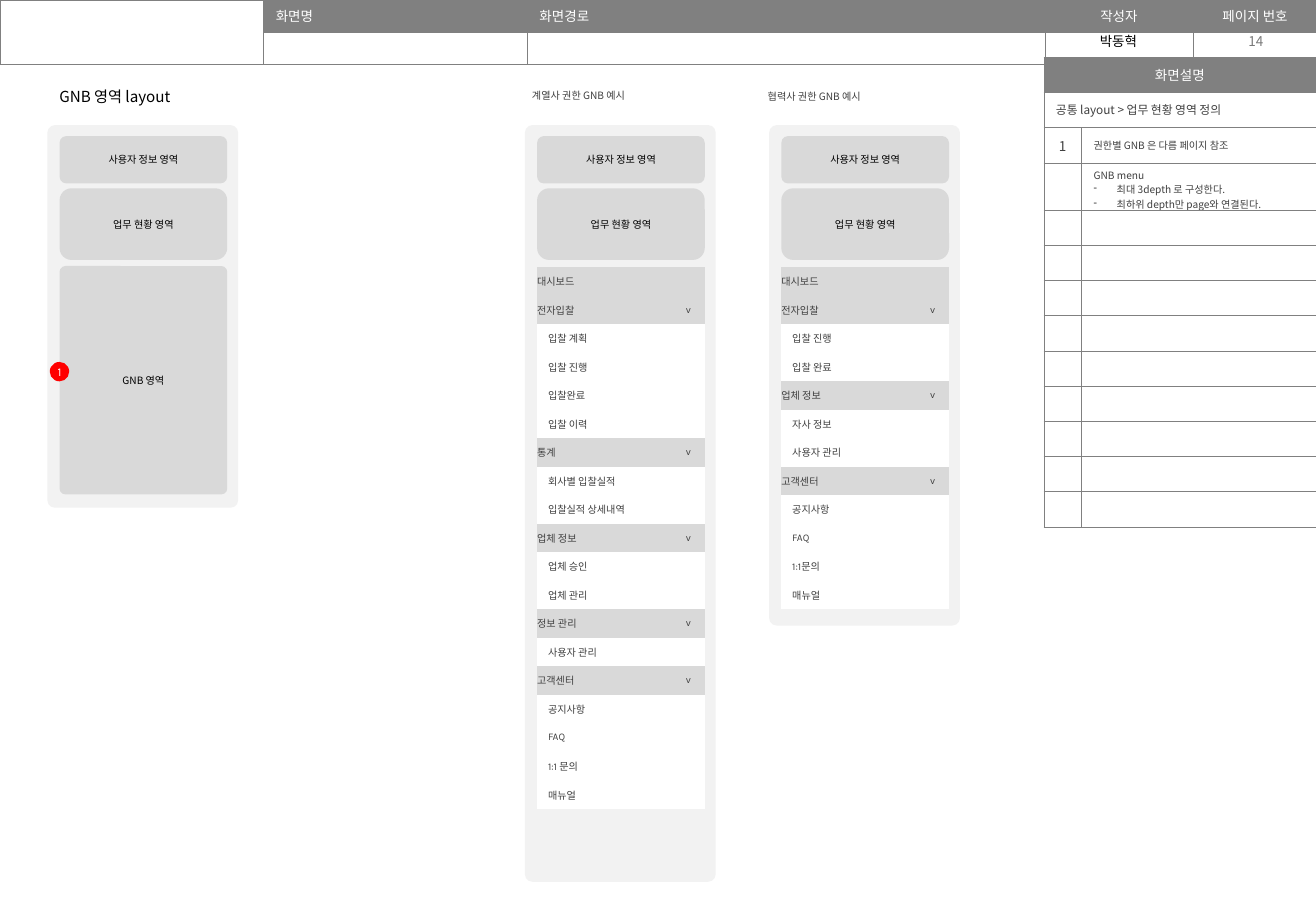
from lxml import etree
from pptx import Presentation, util as u
from pptx.dml.color import RGBColor
from pptx.enum import shapes, text
from pptx.oxml import ns

WHITE = RGBColor(0xFF, 0xFF, 0xFF)
BLACK = RGBColor(0, 0, 0)
DARK = RGBColor(0x40, 0x40, 0x40)
MID = RGBColor(0x79, 0x79, 0x79)
GRAY = RGBColor(0x80, 0x80, 0x80)
LIGHT = RGBColor(0xD9, 0xD9, 0xD9)
PALE = RGBColor(0xF2, 0xF2, 0xF2)
RED = RGBColor(0xFF, 0, 0)
NOTO, KARLA = "Noto Sans CJK KR", "Karla"
LEFT, MIDDLE = text.PP_ALIGN.LEFT, text.PP_ALIGN.CENTER
UNIT = u.Inches(0.01)

deck = Presentation()
deck.slide_width, deck.slide_height = 1083 * UNIT, 750 * UNIT
slide = deck.slides.add_slide(deck.slide_layouts[6])


def write(frame, words, size, color, align=LEFT, face=NOTO):
    frame.text = words
    for para in frame.paragraphs:
        para.alignment = align
        if not para.runs:
            para._p.get_or_add_endParaRPr().set("sz", str(size * 100))
        for run in para.runs:
            run.font.size = u.Pt(size)
            run.font.color.rgb = color
            run.font.name = face
            etree.SubElement(run.font._element, ns.qn("a:ea"), typeface=NOTO)


def build(left, top, cols, rows, line):
    frame = slide.shapes.add_table(len(rows), len(cols), left * UNIT, top * UNIT,
                                   sum(cols) * UNIT, int(sum(rows) * UNIT))
    table = frame.table
    table.first_row = table.horz_banding = False
    for col, width in zip(table.columns, cols):
        col.width = width * UNIT
    for row, height in zip(table.rows, rows):
        row.height = int(height * UNIT)
    for cell in table.iter_cells():
        props = cell._tc.get_or_add_tcPr()
        for side in ("lnL", "lnR", "lnT", "lnB"):
            edge = etree.SubElement(props, ns.qn("a:" + side), w="3175")
            if line:
                paint = etree.SubElement(edge, ns.qn("a:solidFill"))
                etree.SubElement(paint, ns.qn("a:srgbClr"), val=str(line))
            else:
                etree.SubElement(edge, ns.qn("a:noFill"))
        cell.fill.background()
        write(cell.text_frame, "", 6, DARK)
    return table


head = build(0, 0, [217, 217, 426, 122, 102], [26.5, 26.5], GRAY)
head.cell(0, 0).merge(head.cell(1, 0))
titles = ["화면명", "화면경로", "작성자", "페이지 번호"]
for num, title in enumerate(titles, 1):
    cell = head.cell(0, num)
    cell.fill.solid()
    cell.fill.fore_color.rgb = GRAY
    write(cell.text_frame, title, 8, WHITE, MIDDLE if num > 2 else LEFT)

for left, width, words, color in [(859, 123, "박동혁", BLACK), (983, 101, "14", MID)]:
    box = slide.shapes.add_textbox(left * UNIT, 22 * UNIT, width * UNIT, 24 * UNIT)
    box.text_frame.word_wrap = True
    box.text_frame.vertical_anchor = text.MSO_ANCHOR.MIDDLE
    write(box.text_frame, words, 8, color, MIDDLE)

notes = build(859, 47, [31, 193], [29] * 3 + [39] + [29] * 9, GRAY)
for row in (0, 1):
    notes.cell(row, 0).merge(notes.cell(row, 1))
notes.cell(0, 0).fill.solid()
notes.cell(0, 0).fill.fore_color.rgb = GRAY
guide = "GNB menu\n최대 3depth 로 구성한다.\n최하위 depth만 page와 연결된다."
for row, col, words, size, color, align in [
    (0, 0, "화면설명", 8, WHITE, MIDDLE),
    (1, 0, "공통 layout > 업무 현황 영역 정의", 7, DARK, LEFT),
    (2, 0, "1", 8, DARK, MIDDLE),
    (2, 1, "권한별 GNB 은 다름 페이지 참조", 6, DARK, LEFT),
    (3, 1, guide, 6, DARK, LEFT),
]:
    cell = notes.cell(row, col)
    cell.vertical_anchor = text.MSO_ANCHOR.MIDDLE
    write(cell.text_frame, words, size, color, align)
cell.margin_top, cell.margin_bottom = 4 * UNIT, 0
for para in cell.text_frame.paragraphs[1:]:
    props = para._p.get_or_add_pPr()
    props.set("marL", str(19 * UNIT))
    props.set("indent", str(-19 * UNIT))
    etree.SubElement(props, ns.qn("a:buChar"), char="-")

boxes = []
for left, height in [(39, 315), (432, 623), (633, 412)]:
    inner = left + 10
    boxes += [
        (left, 103, 157, height, 0.04, PALE, "", 6, BLACK, MIDDLE, NOTO),
        (inner, 112, 138, 39, 0.145, LIGHT, "사용자 정보 영역", 6, BLACK, MIDDLE, NOTO),
        (inner, 155, 138, 59, 0.167, LIGHT, "업무 현황 영역", 6, BLACK, MIDDLE, NOTO),
    ]
boxes += [
    (49, 219, 138, 188, 0.035, LIGHT, "GNB 영역", 6, BLACK, MIDDLE, NOTO),
    (39, 60, 157, 39, 0, None, "GNB 영역 layout", 9, BLACK, LEFT, NOTO),
    (428, 59, 190, 39, 0, None, "계열사 권한 GNB 예시", 6, DARK, LEFT, NOTO),
    (622, 60, 190, 39, 0, None, "협력사 권한 GNB 예시", 6, DARK, LEFT, NOTO),
    (41, 298, 16, 16, 0.5, RED, "1", 7, WHITE, MIDDLE, KARLA),
]
for left, top, width, height, bend, fill, words, size, color, align, face in boxes:
    box = slide.shapes.add_shape(shapes.MSO_SHAPE.ROUNDED_RECTANGLE,
                                 left * UNIT, top * UNIT, width * UNIT, height * UNIT)
    box.adjustments[0] = bend
    box.shadow.inherit = False
    box.line.fill.background()
    if fill:
        box.fill.solid()
        box.fill.fore_color.rgb = fill
    else:
        box.fill.background()
    frame = box.text_frame
    pad = 10 * UNIT if align == LEFT else 0
    frame.margin_left = frame.margin_right = pad
    frame.margin_top = frame.margin_bottom = 0
    frame.vertical_anchor = text.MSO_ANCHOR.MIDDLE
    write(frame, words, size, color, align, face)

menus = [
    (442, [
        ("대시보드", []),
        ("전자입찰", ["입찰 계획", "입찰 진행", "입찰완료", "입찰 이력"]),
        ("통계", ["회사별 입찰실적", "입찰실적 상세내역"]),
        ("업체 정보", ["업체 승인", "업체 관리"]),
        ("정보 관리", ["사용자 관리"]),
        ("고객센터", ["공지사항", "FAQ", "1:1 문의", "매뉴얼"]),
    ]),
    (643, [
        ("대시보드", []),
        ("전자입찰", ["입찰 진행", "입찰 완료"]),
        ("업체 정보", ["자사 정보", "사용자 관리"]),
        ("고객센터", ["공지사항", "FAQ", "1:1문의", "매뉴얼"]),
    ]),
]
for left, groups in menus:
    lines = []
    for name, items in groups:
        lines.append((name, "v" if items else "", LIGHT, 0))
        lines += [(item, "", WHITE, 9) for item in items]
    menu = build(left, 220, [111, 27], [23.5] * len(lines), None)
    for row, (name, mark, fill, dent) in enumerate(lines):
        for col, words in enumerate((name, mark)):
            cell = menu.cell(row, col)
            cell.margin_left = cell.margin_right = 0
            cell.margin_top = cell.margin_bottom = 0
            cell.vertical_anchor = text.MSO_ANCHOR.MIDDLE
            cell.fill.solid()
            cell.fill.fore_color.rgb = fill
            write(cell.text_frame, words, 6, DARK, MIDDLE if col else LEFT, KARLA)
        menu.cell(row, 0).margin_left = dent * UNIT

deck.save("out.pptx")
